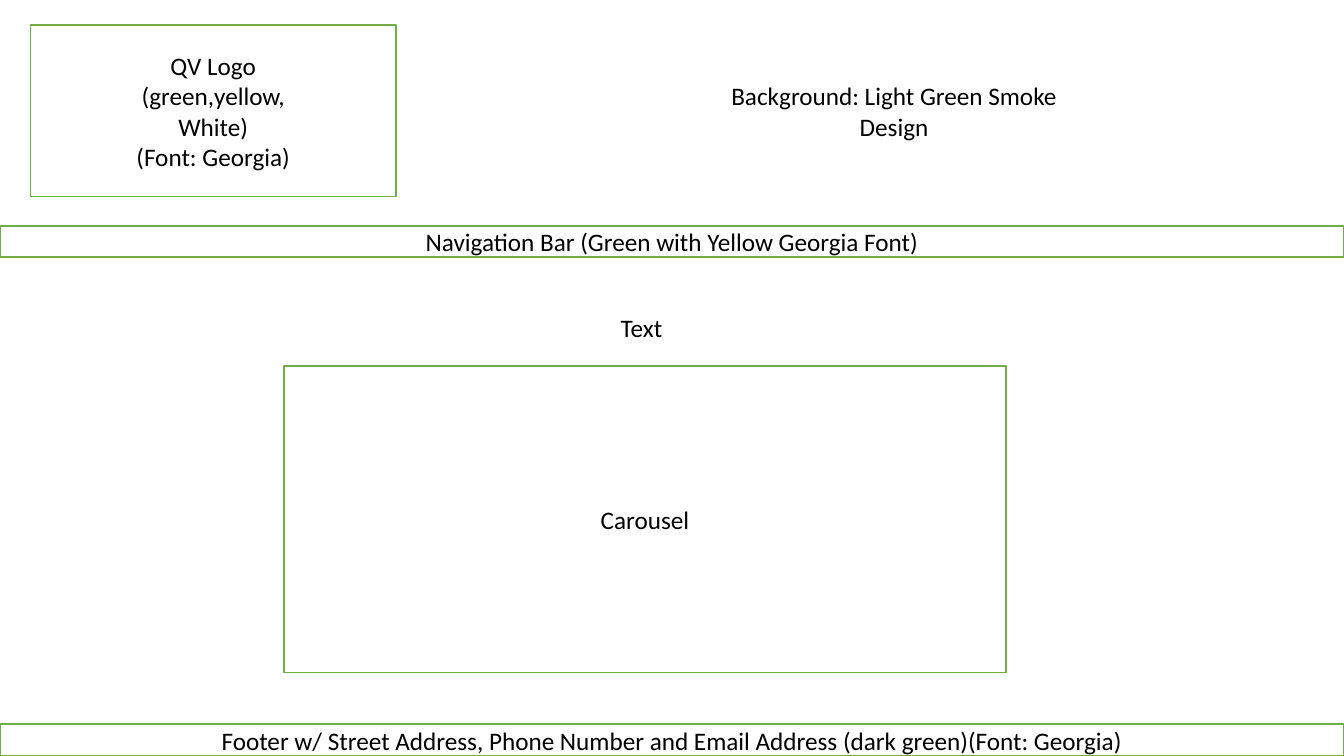
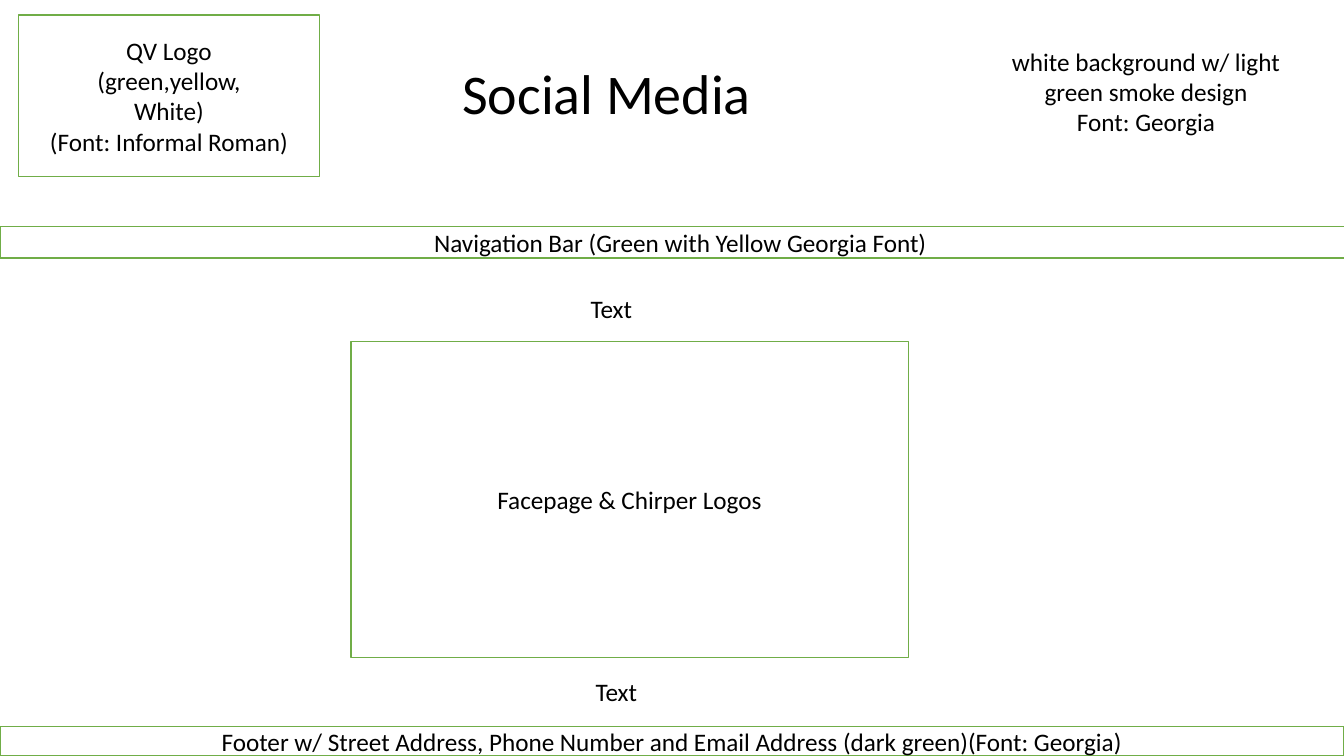
from pptx import Presentation
from pptx.dml.color import RGBColor
from pptx.enum.shapes import MSO_SHAPE as Shape
from pptx.enum.text import MSO_ANCHOR as Anchor, MSO_AUTO_SIZE as AutoSize, PP_ALIGN as Align
from pptx.util import Pt

# Content: boxes and labels are (lines, (left, top, width, height)) in points
LOGO = ["QV Logo", "(green,yellow,", "White)"]
NAV = ["Navigation Bar (Green with Yellow Georgia Font)"]
FOOTER = ["Footer w/ Street Address, Phone Number and Email Address (dark green)(Font: Georgia)"]

PAGES = [
    {
        "title": None,
        "boxes": [
            (LOGO + ["(Font: Georgia)"], (21.6, 18, 261.4, 122.4)),
            (NAV, (0, 161.3, 960, 22.3)),
            (["Carousel"], (203, 261.4, 515.5, 218.9)),
            (FOOTER, (0, 517, 960, 23)),
        ],
        "notes": [(["Background: Light Green Smoke Design"], (493.2, 54, 290.9, 51.1))],
        "captions": [(["Text"], (436.3, 219.6, 177.8, 28.8))],
    },
    {
        "title": (["Social Media "], (285.1, 38.2, 305.3, 55.4)),
        "boxes": [
            (LOGO + ["(Font: Informal Roman)"], (13, 10.8, 215.3, 115.2)),
            (NAV, (0, 162, 972, 22.3)),
            (["Facepage & Chirper Logos"], (250.6, 244.1, 398.2, 225.4)),
            (FOOTER, (0, 519.1, 960, 20.9)),
        ],
        "notes": [(["white background w/ light green smoke design", "Font: Georgia"],
                   (702, 29.5, 233.3, 72.7))],
        "captions": [(["Text"], (414.7, 205.9, 44.6, 28.8)),
                     (["Text"], (418.3, 479.5, 44.6, 28.8))],
    },
]

# Shared style
FONT = "Calibri"
BODY_SIZE, TITLE_SIZE = 18, 40
BLACK = RGBColor(0x00, 0x00, 0x00)
WHITE = RGBColor(0xFF, 0xFF, 0xFF)
GREEN = RGBColor(0x70, 0xAD, 0x47)
TITLE_ONLY, BLANK = 5, 6


def write(tf, lines, size=BODY_SIZE, align=Align.CENTER, anchor=Anchor.MIDDLE, wrap=True):
    """Fill a text frame with one paragraph per line."""
    tf.word_wrap = wrap
    tf.auto_size = AutoSize.NONE
    tf.vertical_anchor = anchor
    for i, line in enumerate(lines):
        p = tf.add_paragraph() if i else tf.paragraphs[0]
        p.alignment = align
        r = p.add_run()
        r.text = line
        r.font.name, r.font.size = FONT, Pt(size)
        r.font.color.rgb = BLACK


def add_title(s, lines, area):
    """Move the title placeholder into place and fill it."""
    title = s.shapes.title
    title.left, title.top, title.width, title.height = map(Pt, area)
    write(title.text_frame, lines, TITLE_SIZE)


def add_box(s, lines, area):
    """Add a white wireframe box with a green outline."""
    sp = s.shapes.add_shape(Shape.RECTANGLE, *map(Pt, area))
    sp.shadow.inherit = False
    sp.fill.solid()
    sp.fill.fore_color.rgb = WHITE
    sp.line.color.rgb = GREEN
    sp.line.width = Pt(1)
    write(sp.text_frame, lines)


def add_label(s, lines, area, **style):
    """Add a plain text box."""
    box = s.shapes.add_textbox(*map(Pt, area))
    write(box.text_frame, lines, anchor=Anchor.TOP, **style)


def build_page(prs, page):
    """Build one wireframe page."""
    layout = TITLE_ONLY if page["title"] else BLANK
    s = prs.slides.add_slide(prs.slide_layouts[layout])
    if page["title"]:
        add_title(s, *page["title"])
    for lines, area in page["boxes"]:
        add_box(s, lines, area)
    for lines, area in page["notes"]:
        add_label(s, lines, area)
    for lines, area in page["captions"]:
        add_label(s, lines, area, align=Align.LEFT, wrap=area[2] > 50)


prs = Presentation()
prs.slide_width, prs.slide_height = Pt(960), Pt(540)
for page in PAGES:
    build_page(prs, page)
prs.save("out.pptx")
